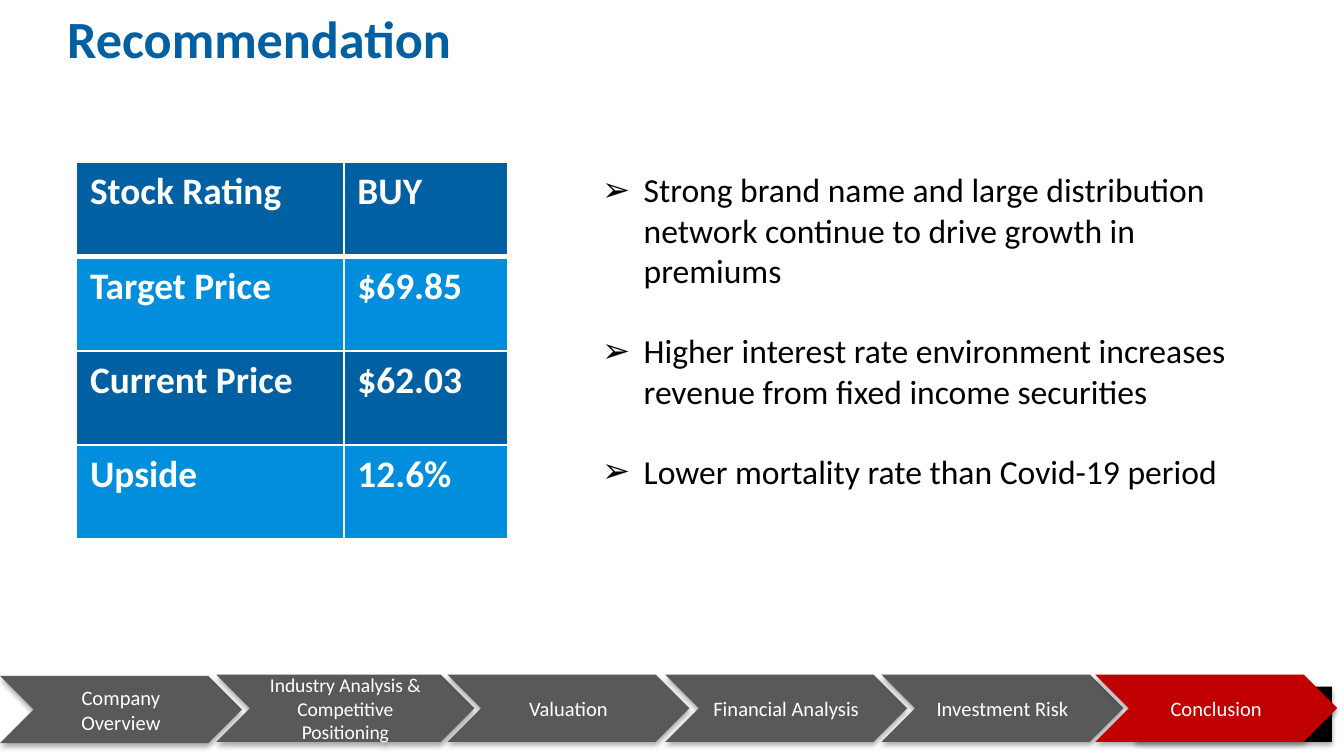
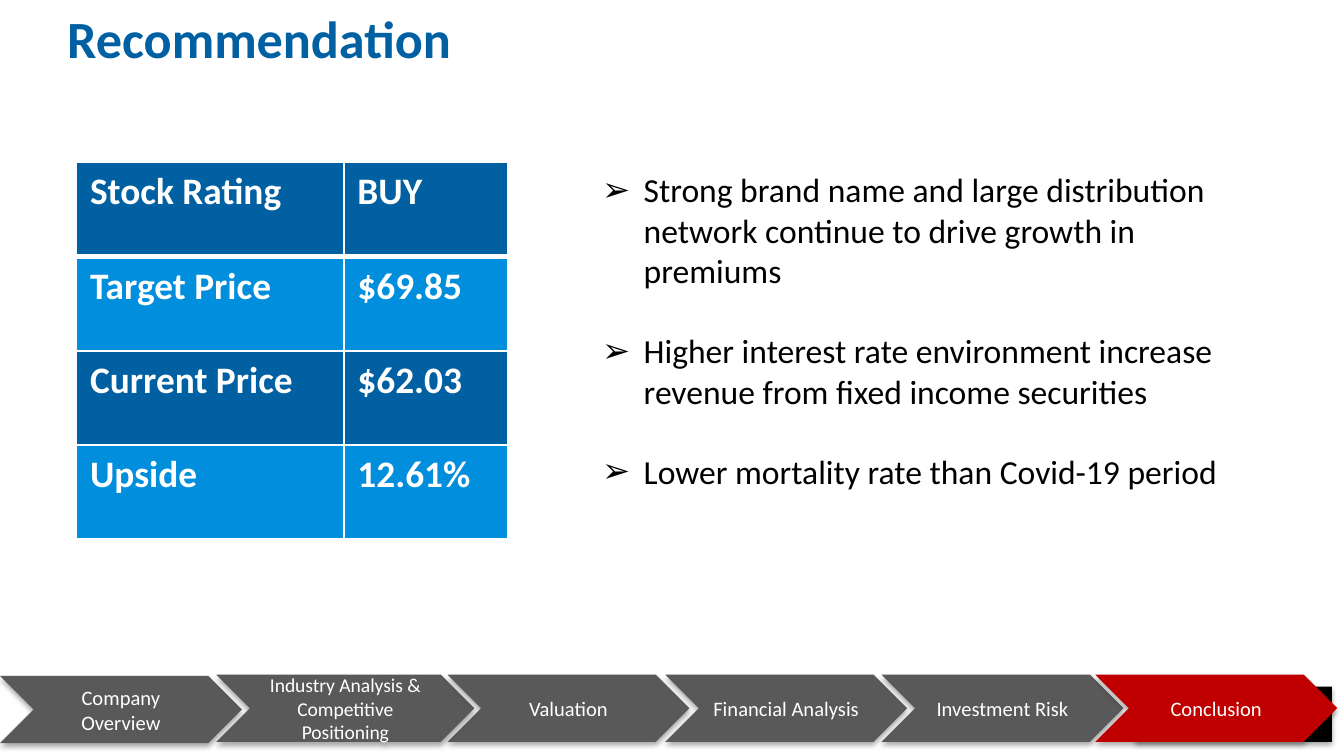
from lxml.etree import SubElement
from pptx import Presentation
from pptx.dml.color import RGBColor
from pptx.enum.shapes import MSO_SHAPE
from pptx.enum.text import MSO_ANCHOR, MSO_AUTO_SIZE, PP_ALIGN
from pptx.oxml import parse_xml
from pptx.oxml.ns import nsdecls, qn
from pptx.util import Inches, Pt

DARK_BLUE = RGBColor(0x00, 0x60, 0xA2)
LIGHT_BLUE = RGBColor(0x00, 0x8E, 0xDD)
GREY = RGBColor(0x59, 0x59, 0x59)
RED = RGBColor(0xC0, 0x00, 0x00)
BLACK = RGBColor(0x00, 0x00, 0x00)
WHITE = RGBColor(0xFF, 0xFF, 0xFF)

FONT = "Calibri"
TITLE_AND_CONTENT = 1
BULLET_INDENT = 0.31

# Section name, left, top, width, text size
SECTIONS = [
    ("Company Overview", 0, 5.03, 1.8, 11),
    ("Industry Analysis & Competitive Positioning", 1.61, 5.02, 1.92, 10.5),
    ("Valuation", 3.33, 5.02, 1.8, 11),
    ("Financial Analysis", 4.95, 5.02, 1.8, 11),
    ("Investment Risk", 6.56, 5.02, 1.8, 11),
    ("Conclusion", 8.15, 5.02, 1.8, 11),
]


class SlideBuilder:
    def __init__(self, deck):
        self.deck = deck
        self.page = None

    def new_page(self, title, current_section):
        layout = self.deck.slide_layouts[TITLE_AND_CONTENT]
        self.page = self.deck.slides.add_slide(layout)
        self.title(title)
        self.section_band(current_section)

    def style(self, paragraph, size, color, bold=False):
        font = paragraph.font
        font.name, font.size, font.bold = FONT, Pt(size), bold
        font.color.rgb = color

    def place(self, shape, left, top, width, height):
        shape.left, shape.top = Inches(left), Inches(top)
        shape.width, shape.height = Inches(width), Inches(height)

    def title(self, text):
        box = self.page.shapes.title
        self.place(box, 0.4, 0, 5.42, 0.57)
        frame = box.text_frame
        frame.text = text
        frame.auto_size = MSO_AUTO_SIZE.NONE
        frame.vertical_anchor = MSO_ANCHOR.TOP
        paragraph = frame.paragraphs[0]
        paragraph.alignment = PP_ALIGN.LEFT
        self.style(paragraph, 28, DARK_BLUE, bold=True)

    def shadowed_shape(self, preset, left, top, width, height, color):
        shape = self.page.shapes.add_shape(
            preset, Inches(left), Inches(top), Inches(width), Inches(height))
        shape.fill.solid()
        shape.fill.fore_color.rgb = color
        shape.line.fill.background()
        shape.shadow.inherit = False
        effects = shape.element.spPr.find(qn("a:effectLst"))
        shadow = SubElement(
            effects, qn("a:outerShdw"), blurRad=str(Pt(3.1)),
            dist=str(Pt(1.8)), dir="5400000", rotWithShape="0")
        shade = SubElement(shadow, qn("a:srgbClr"), val=str(BLACK))
        SubElement(shade, qn("a:alpha"), val="35000")
        return shape

    def section_band(self, current_section):
        for name, left, top, width, size in SECTIONS:
            is_current = name == current_section
            if is_current:
                self.shadowed_shape(MSO_SHAPE.RECTANGLE, 8.45, 5.11, 1.46, 0.41, BLACK)
            chevron = self.shadowed_shape(
                MSO_SHAPE.CHEVRON, left, top, width, 0.5, RED if is_current else GREY)
            frame = chevron.text_frame
            frame.text = name
            frame.word_wrap = True
            frame.vertical_anchor = MSO_ANCHOR.MIDDLE
            paragraph = frame.paragraphs[0]
            paragraph.alignment = PP_ALIGN.CENTER
            self.style(paragraph, size, WHITE)

    def borders(self, cell, **widths):
        """Draw white borders; widths maps L, R, T and B to points."""
        properties = cell._tc.get_or_add_tcPr()
        for position, (side, width) in enumerate(widths.items()):
            properties.insert(position, parse_xml(
                f'<a:ln{side} {nsdecls("a")} w="{Pt(width)}"><a:solidFill>'
                f'<a:srgbClr val="{WHITE}"/></a:solidFill></a:ln{side}>'))

    def rating_table(self, rows):
        table = self.page.shapes.add_table(
            len(rows), 2, Inches(0.57), Inches(1.21), Inches(3.21), Inches(2.8)).table
        for column, width in zip(table.columns, (1.99, 1.22)):
            column.width = Inches(width)
        for row_number, texts in enumerate(rows):
            table.rows[row_number].height = Inches(0.7)
            for column_number, text in enumerate(texts):
                cell = table.cell(row_number, column_number)
                cell.text = text
                self.style(cell.text_frame.paragraphs[0], 20, WHITE, bold=True)
                cell.fill.solid()
                cell.fill.fore_color.rgb = LIGHT_BLUE if row_number % 2 else DARK_BLUE
                self.borders(cell, L=1, R=1, T=3 if row_number == 1 else 1,
                             B=3 if row_number == 0 else 1)

    def bullet_list(self, points):
        box = self.page.placeholders[1]
        self.place(box, 4.38, 1.21, 4.89, 2.52)
        frame = box.text_frame
        frame.auto_size = MSO_AUTO_SIZE.NONE
        frame.vertical_anchor = MSO_ANCHOR.TOP
        for number, point in enumerate(points):
            paragraph = frame.add_paragraph() if number else frame.paragraphs[0]
            paragraph.text = point
            properties = paragraph._p.get_or_add_pPr()
            properties.set("marL", str(Inches(BULLET_INDENT)))
            properties.set("indent", str(-Inches(BULLET_INDENT)))
            SubElement(properties, qn("a:buChar"), char="➢")
            paragraph.space_before = Pt(21.5 if number else 0)
            self.style(paragraph, 18, BLACK)


def main():
    deck = Presentation()
    deck.slide_width, deck.slide_height = Inches(10), Inches(10 * 9 / 16)
    builder = SlideBuilder(deck)
    for upside, verb in (("12.6%", "increases"), ("12.61%", "increase")):
        builder.new_page("Recommendation", "Conclusion")
        builder.rating_table([
            ("Stock Rating", "BUY"),
            ("Target Price", "$69.85"),
            ("Current Price", "$62.03"),
            ("Upside", upside),
        ])
        builder.bullet_list([
            "Strong brand name and large distribution network continue to drive growth in premiums",
            f"Higher interest rate environment {verb} revenue from fixed income securities",
            "Lower mortality rate than Covid-19 period",
        ])
    deck.save("out.pptx")


if __name__ == "__main__":
    main()
